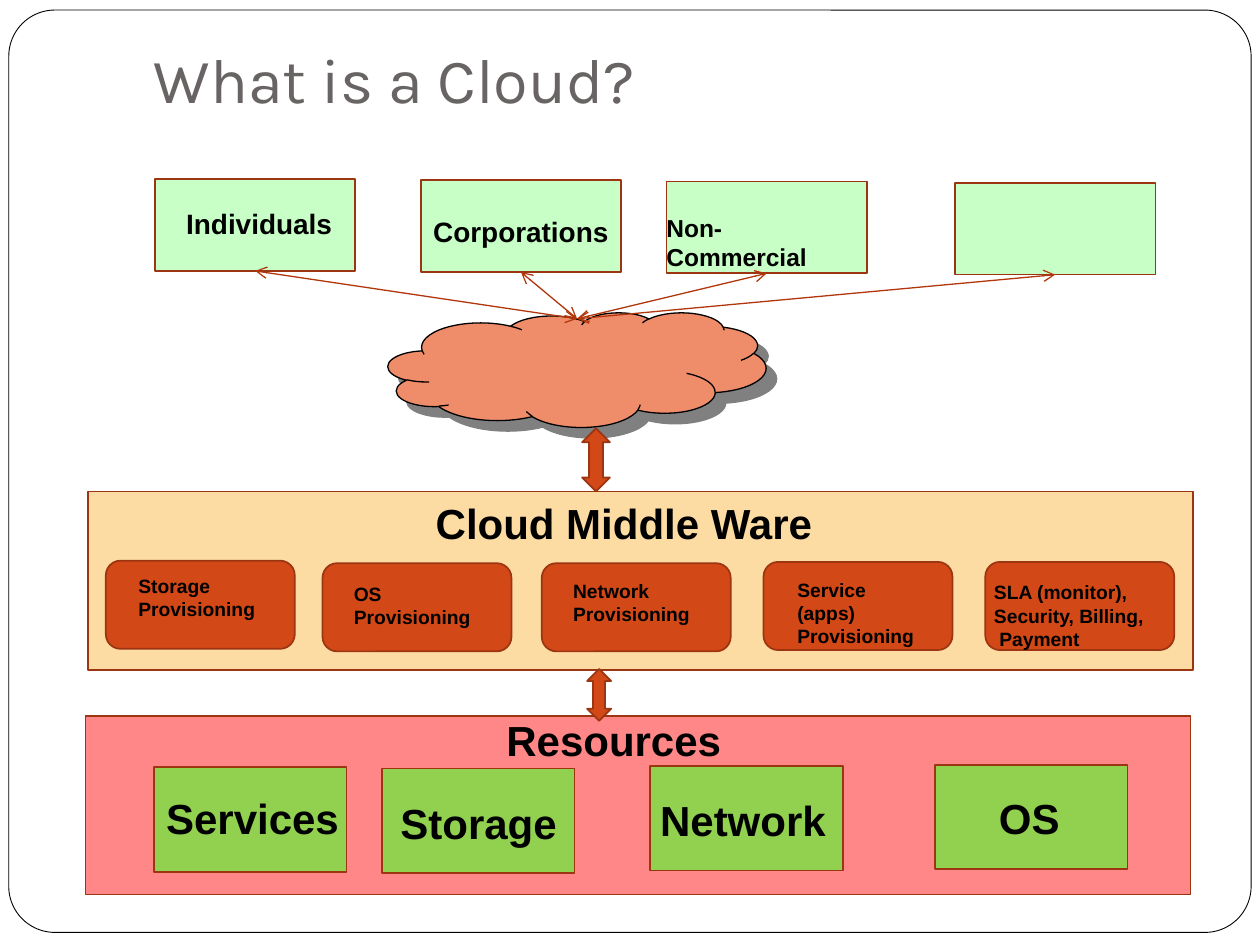
from dataclasses import dataclass
from typing import Optional

from lxml.etree import SubElement
from pptx import Presentation
from pptx.dml.color import RGBColor
from pptx.enum.shapes import MSO_CONNECTOR as Link, MSO_SHAPE as Kind
from pptx.enum.text import MSO_ANCHOR as Anchor, PP_ALIGN as Align
from pptx.oxml.ns import qn
from pptx.util import Inches, Pt

BLACK = RGBColor(0, 0, 0)
WHITE = RGBColor(0xFF, 0xFF, 0xFF)
GRAY = RGBColor(0x69, 0x64, 0x64)
SHADE = RGBColor(0x80, 0x80, 0x80)
MINT = RGBColor(0, 0xFF, 0)
RED = RGBColor(0xFF, 0, 0)
SAND = RGBColor(0xFC, 0xD6, 0x92)
GREEN = RGBColor(0x92, 0xD0, 0x50)
RUST = RGBColor(0xD3, 0x48, 0x17)
SALMON = RGBColor(0xEF, 0x8C, 0x6A)
EDGE = RGBColor(0x9C, 0x35, 0x11)
ARROW = RGBColor(0xB1, 0x36, 0x0B)


@dataclass
class Label:
    x: float
    y: float
    w: float
    h: float
    lines: tuple[str, ...]
    size: int
    wrap: bool = False


@dataclass
class Node:
    x: float
    y: float
    label: Optional[Label] = None


@dataclass
class Style:
    kind: Kind
    w: float
    h: float
    fill: RGBColor
    alpha: int = 100
    line: RGBColor = EDGE
    width: float = 1


USER = Style(Kind.RECTANGLE, 1.59, 0.73, MINT, 22)
PART = Style(Kind.ROUNDED_RECTANGLE, 1.5, 0.7, RUST)
ITEM = Style(Kind.RECTANGLE, 1.53, 0.83, GREEN)
WARE = Style(Kind.RECTANGLE, 8.77, 1.42, SAND, 84)
POOL = Style(Kind.RECTANGLE, 8.77, 1.42, RED, 47)
CLOUD = Style(Kind.CLOUD, 3, 0.91, SALMON, 100, BLACK, 0.75)
FRAME = Style(Kind.ROUNDED_RECTANGLE, 9.86, 7.32, WHITE, 100, BLACK, 0.5)

USERS = [
    Node(1.23, 1.42, Label(1.38, 1.59, 1.36, 0.37, ("Individuals",), 16)),
    Node(3.34, 1.43, Label(3.34, 1.65, 1.6, 0.37, ("Corporations",), 16)),
    Node(5.29, 1.44, Label(5.19, 1.64, 1.4, 0.57, ("Non-Commercial",), 14, True)),
    Node(7.58, 1.45),
]
PARTS = [
    Node(0.84, 4.45, Label(1, 4.51, 1.13, 0.47, ("Storage", "Provisioning"), 11)),
    Node(2.56, 4.47, Label(2.71, 4.57, 1.13, 0.47, ("OS", "Provisioning"), 11)),
    Node(4.3, 4.47, Label(4.45, 4.55, 1.13, 0.47, ("Network", "Provisioning"), 11)),
    Node(6.06, 4.46, Label(6.23, 4.54, 1.24, 0.47, ("Service (apps)", "Provisioning"), 11)),
    Node(7.82, 4.46, Label(7.79, 4.56, 1.39, 0.65,
                           ("SLA (monitor),", "Security, Billing,", " Payment"), 11)),
]
ITEMS = [
    Node(1.22, 6.09, Label(1.22, 6.24, 1.57, 0.5, ("Services",), 24)),
    Node(3.03, 6.1, Label(3.08, 6.28, 1.44, 0.5, ("Storage",), 24)),
    Node(5.16, 6.08, Label(5.14, 6.26, 1.52, 0.5, ("Network",), 24)),
    Node(7.42, 6.07, Label(7.83, 6.24, 0.68, 0.5, ("OS",), 24)),
]


def write(slide, label: Label):
    box = slide.shapes.add_textbox(*map(Inches, (label.x, label.y, label.w, label.h)))
    frame = box.text_frame
    frame.word_wrap = label.wrap
    for i, line in enumerate(label.lines):
        para = frame.add_paragraph() if i else frame.paragraphs[0]
        run = para.add_run()
        run.text = line
        run.font.name, run.font.size = "Arial", Pt(label.size)
        run.font.bold = True
        run.font.color.rgb = BLACK


def draw(slide, style: Style, node: Node):
    shape = slide.shapes.add_shape(
        style.kind, *map(Inches, (node.x, node.y, style.w, style.h)))
    shape.shadow.inherit = False
    shape.fill.solid()
    shape.fill.fore_color.rgb = style.fill
    if style.alpha < 100:
        color = shape.element.spPr.find(qn("a:solidFill"))[0]
        SubElement(color, qn("a:alpha"), val=str(style.alpha * 1000))
    shape.line.color.rgb = style.line
    shape.line.width = Pt(style.width)
    if node.label:
        write(slide, node.label)
    return shape


def cast(shape):
    """Give the shape a hard shadow to the lower right."""
    effects = shape.element.spPr.find(qn("a:effectLst"))
    shadow = SubElement(effects, qn("a:outerShdw"), dist=str(Pt(8.5)),
                        dir=str(45 * 60000), algn="ctr", rotWithShape="0")
    SubElement(shadow, qn("a:srgbClr"), val=str(SHADE))


def link(slide, box, x: float, y: float):
    line = slide.shapes.add_connector(Link.STRAIGHT, 0, 0, Inches(x), Inches(y))
    line.begin_connect(box, 2)
    line.line.color.rgb = ARROW
    line.line.width = Pt(0.75)
    stroke = line.line._get_or_add_ln()
    for end in ("a:headEnd", "a:tailEnd"):
        SubElement(stroke, qn(end), type="arrow")
    SubElement(line.element.spPr, qn("a:effectLst"))


def head(slide):
    title = slide.shapes.title
    title.element.getparent().append(title.element)  # above the frame
    title.left, title.top = Inches(1.12), Inches(0.45)
    title.width, title.height = Inches(8.82), Inches(0.57)
    frame = title.text_frame
    frame.vertical_anchor = Anchor.BOTTOM
    frame.margin_bottom = Inches(0.1)
    para = frame.paragraphs[0]
    para.alignment = Align.LEFT
    run = para.add_run()
    run.text = "What is a Cloud?"
    run.font.name, run.font.size = "Karla", Pt(36)
    run.font.color.rgb = GRAY


def main():
    deck = Presentation()
    deck.slide_width, deck.slide_height = Inches(10), Inches(7.5)
    slide = deck.slides.add_slide(deck.slide_layouts[5])

    # Frame and title
    draw(slide, FRAME, Node(0.07, 0.08)).adjustments[0] = 0.05
    head(slide)

    # Users and the cloud
    boxes = [draw(slide, USER, node) for node in USERS]
    cast(draw(slide, CLOUD, Node(3.08, 2.48)))
    for box in boxes:
        link(slide, box, 4.58, 2.53)

    # Middleware
    draw(slide, WARE, Node(0.7, 3.9, Label(3.36, 3.9, 3.2, 0.5, ("Cloud Middle Ware",), 24)))
    for node in PARTS:
        draw(slide, PART, node)

    # Resources
    draw(slide, POOL, Node(0.68, 5.68, Label(3.92, 5.62, 1.91, 0.5, ("Resources",), 24)))
    for node in ITEMS:
        draw(slide, ITEM, node)

    # Arrows between the layers
    draw(slide, Style(Kind.UP_DOWN_ARROW, 0.22, 0.5, RUST), Node(4.62, 3.4))
    draw(slide, Style(Kind.UP_DOWN_ARROW, 0.19, 0.41, RUST), Node(4.66, 5.31))

    deck.save("out.pptx")


if __name__ == "__main__":
    main()
